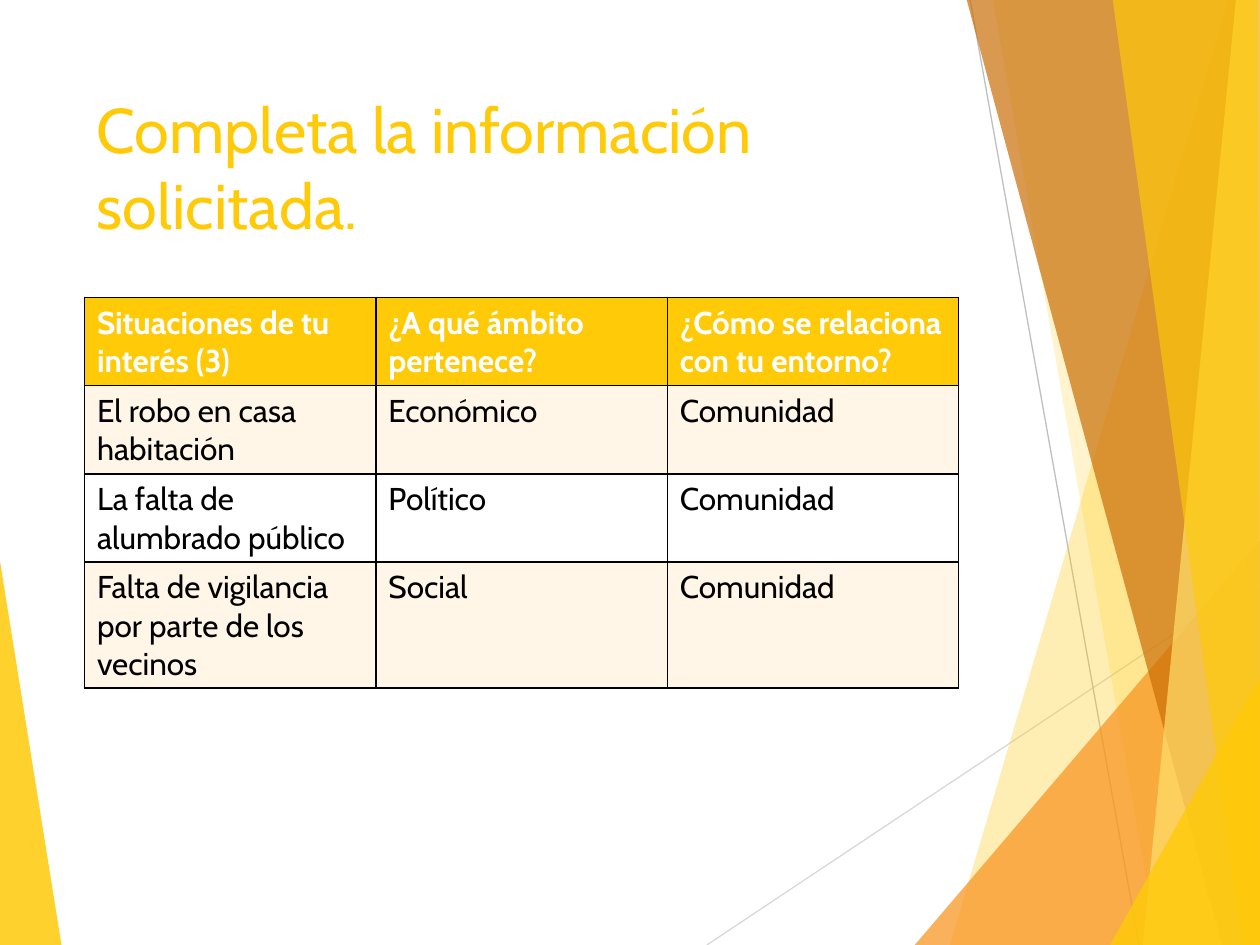
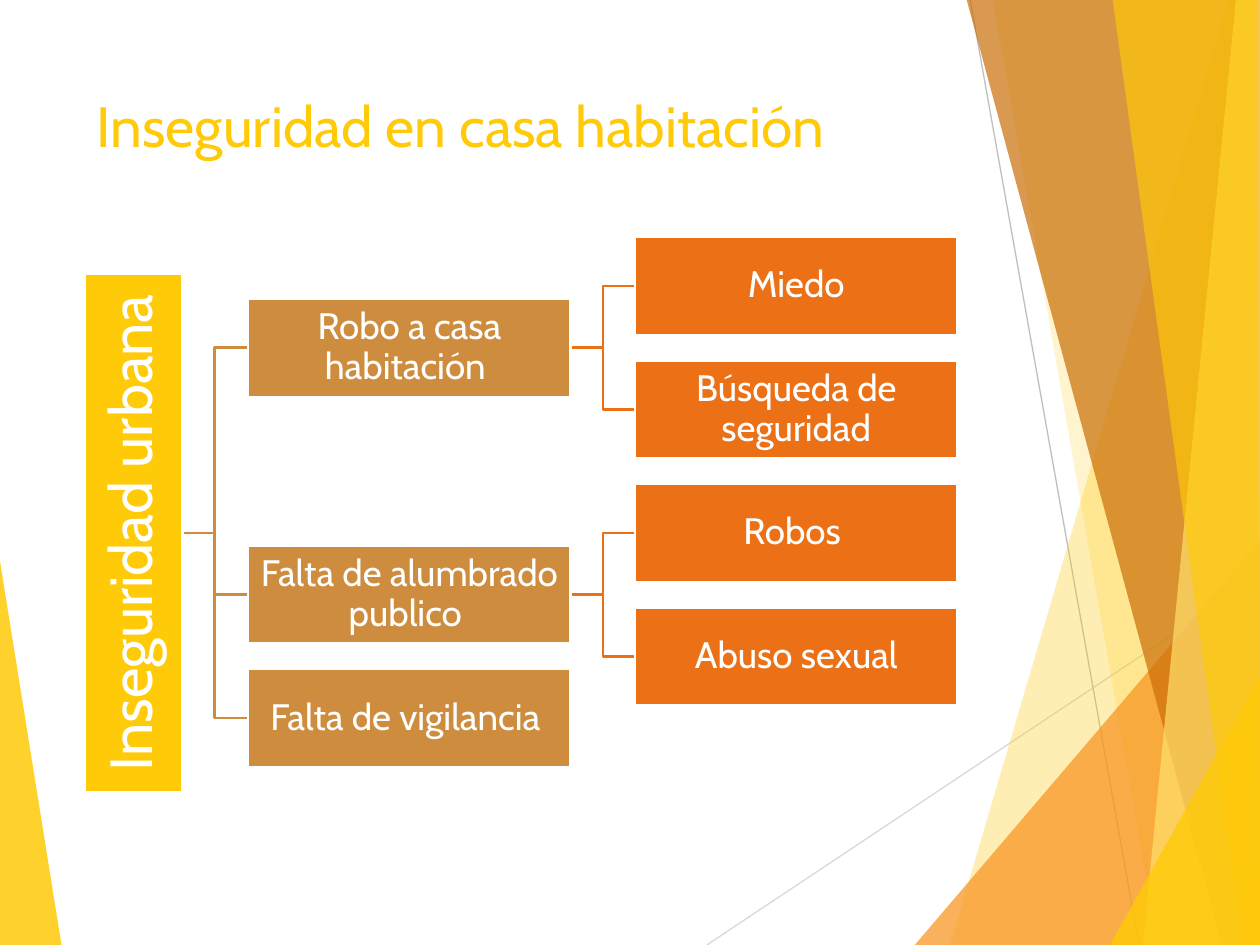
from dataclasses import dataclass

from lxml.etree import SubElement
from pptx import Presentation
from pptx.dml.color import RGBColor
from pptx.enum.shapes import MSO_CONNECTOR, MSO_SHAPE
from pptx.enum.text import MSO_ANCHOR, PP_ALIGN
from pptx.oxml.ns import qn
from pptx.util import Inches, Pt

FONT = "Cabin"
GOLD, BRONZE, ORANGE = "FFCA08", "CE8D3E", "EC7016"
WHITE, BLACK, CREAM = "FFFFFF", "000000", "FFF6E7"
LEFT, CONTENT_WIDTH = 0.67, 6.94

Point = tuple[float, float]


@dataclass(frozen=True)
class Facet:
    color: str
    opacity: int
    corners: list[Point]


@dataclass(frozen=True)
class Ray:
    color: str
    start: Point
    end: Point


@dataclass(frozen=True)
class Branch:
    label: str
    effects: list[str]


# Decoration shared by the slides, from back to front
LEFT_FACET = Facet(GOLD, 85, [(-0.01, 4.39), (0.49, 7.51), (-0.01, 7.5)])
RAYS = [
    Ray("D9D9D9", (5.61, 7.5), (10.01, 4.57)),
    Ray("BFBFBF", (7.7, 0), (9.04, 7.5)),
]
RIGHT_FACETS = [
    Facet(GOLD, 30, [(9.75, 0), (7.54, 7.5), (10.02, 7.51), (10.01, 0)]),
    Facet(GOLD, 20, [(7.88, -0.01), (9.19, 7.5), (10.01, 7.5), (10.01, -0.01)]),
    Facet("F8931D", 72, [(7.26, 7.5), (10, 4.29), (10.01, 7.5)]),
    Facet("CA6F06", 70, [(7.67, -0.01), (9.7, 7.5), (10.01, 7.5), (10.01, -0.01)]),
    Facet("FFDF6B", 70, [(9.81, -0.01), (9.07, 7.5), (10.01, 7.5), (10, -0.01)]),
    Facet(GOLD, 65, [(8.83, -0.01), (9.86, 7.5), (10, 7.5), (9.98, -0.01)]),
    Facet(GOLD, 80, [(8.81, 7.5), (10.01, 5.35), (10.01, 7.5)]),
]

# Slide contents
SITUATIONS = [
    ["Situaciones de tu interés (3)", "¿A qué ámbito pertenece?",
     "¿Cómo se relaciona con tu entorno?"],
    ["El robo en casa habitación", "Económico", "Comunidad"],
    ["La falta de alumbrado público", "Político", "Comunidad"],
    ["Falta de vigilancia por parte de los vecinos", "Social", "Comunidad"],
]
PROBLEM = "Inseguridad urbana"
BRANCHES = [
    Branch("Robo a casa habitación ", ["Miedo", "Búsqueda de seguridad"]),
    Branch("Falta de alumbrado publico ", ["Robos ", "Abuso sexual"]),
    Branch("Falta de vigilancia ", []),
]

# Tree measures
BOX_WIDTH, BOX_HEIGHT, ROW_PITCH = 2.56, 0.78, 0.98
PROBLEM_LENGTH = 4.11
PROBLEM_X, BRANCH_X, EFFECT_X = 1.06, 3.25, 6.32  # column centres
FIRST_ROW_Y = 2.27
LINK_WIDTH = 0.51


def rgb(color: str) -> RGBColor:
    return RGBColor.from_string(color)


def paint(fill, color: str) -> None:
    fill.solid()
    fill.fore_color.rgb = rgb(color)


def stroke(line, color: str, width: float) -> None:
    paint(line.fill, color)
    line.width = Pt(width)


def write(frame, text: str, size: float, color: str, bold: bool = False):
    frame.text = text
    frame.word_wrap = True
    paragraph = frame.paragraphs[0]
    for run in paragraph.runs:
        run.font.name = FONT
        run.font.size = Pt(size)
        run.font.bold = bold
        run.font.color.rgb = rgb(color)
    return paragraph


def add_outline(slide, points: list[Point], close: bool):
    start, *others = [(Inches(x), Inches(y)) for x, y in points]
    builder = slide.shapes.build_freeform(*start)
    builder.add_line_segments(others, close=close)
    outline = builder.convert_to_shape()
    outline.shadow.inherit = False
    return outline


def add_facet(slide, facet: Facet) -> None:
    pane = add_outline(slide, facet.corners, close=True)
    paint(pane.fill, facet.color)
    pane.line.fill.background()
    tint = pane.fill._xPr.find(f".//{qn('a:srgbClr')}")
    SubElement(tint, qn("a:alpha"), val=str(facet.opacity * 1000))


def add_ray(slide, ray: Ray) -> None:
    ends = [Inches(value) for value in ray.start + ray.end]
    line = slide.shapes.add_connector(MSO_CONNECTOR.STRAIGHT, *ends)
    stroke(line.line, ray.color, 0.75)
    SubElement(line._element.spPr, qn("a:effectLst"))


def add_base_slide(deck, title: str, size: float, height: float):
    slide = deck.slides.add_slide(deck.slide_layouts[6])
    add_facet(slide, LEFT_FACET)
    for ray in RAYS:
        add_ray(slide, ray)
    for facet in RIGHT_FACETS:
        add_facet(slide, facet)
    heading = slide.shapes.add_textbox(
        Inches(LEFT), Inches(0.67), Inches(CONTENT_WIDTH), Inches(height))
    write(heading.text_frame, title, size, GOLD)
    return slide


def add_cell_borders(cell) -> None:
    properties = cell._tc.get_or_add_tcPr()
    for side in ("lnL", "lnR", "lnT", "lnB"):
        border = SubElement(properties, qn(f"a:{side}"), w=str(Pt(1)))
        fill = SubElement(border, qn("a:solidFill"))
        SubElement(fill, qn("a:srgbClr"), val=BLACK)


def add_situations_table(slide) -> None:
    rows, columns = len(SITUATIONS), len(SITUATIONS[0])
    row_height = 0.63
    table = slide.shapes.add_table(
        rows, columns, Inches(LEFT), Inches(2.36),
        Inches(CONTENT_WIDTH), Inches(row_height * rows)).table
    for row, texts in enumerate(SITUATIONS):
        table.rows[row].height = Inches(row_height)
        header = row == 0
        background = GOLD if header else (CREAM if row % 2 else WHITE)
        for column, text in enumerate(texts):
            cell = table.cell(row, column)
            add_cell_borders(cell)
            paint(cell.fill, background)
            write(cell.text_frame, text, 18, WHITE if header else BLACK, header)


def add_box(slide, text: str, center: Point, color: str, width: float = BOX_WIDTH,
            size: float = 21, inset: float = 0.01, rotation: float = 0) -> None:
    x, y = center
    box = slide.shapes.add_shape(
        MSO_SHAPE.RECTANGLE, Inches(x - width / 2), Inches(y - BOX_HEIGHT / 2),
        Inches(width), Inches(BOX_HEIGHT))
    box.rotation = rotation
    box.shadow.inherit = False
    paint(box.fill, color)
    stroke(box.line, WHITE, 1.5)
    frame = box.text_frame
    frame.margin_left = frame.margin_right = Inches(inset)
    frame.margin_top = frame.margin_bottom = Inches(inset)
    frame.vertical_anchor = MSO_ANCHOR.MIDDLE
    paragraph = write(frame, text, size, WHITE)
    paragraph.alignment = PP_ALIGN.CENTER
    paragraph.line_spacing = 0.9


def add_link(slide, start: Point, end_y: float, color: str) -> None:
    x, y = start
    bend = x + LINK_WIDTH / 2
    link = add_outline(
        slide, [(x, y), (bend, y), (bend, end_y), (x + LINK_WIDTH, end_y)], close=False)
    link.fill.background()
    stroke(link.line, color, 1.5)


def add_problem_tree(slide) -> None:
    # Each branch is centred on its effects; one without effects takes the next row
    branch_rows: list[float] = []
    effect_rows: list[list[float]] = []
    next_y = FIRST_ROW_Y
    for branch in BRANCHES:
        rows = [next_y + ROW_PITCH * index for index in range(len(branch.effects))]
        center = sum(rows) / len(rows) if rows else branch_rows[-1] + ROW_PITCH
        next_y += ROW_PITCH * len(rows)
        branch_rows.append(center)
        effect_rows.append(rows)
    problem_y = (branch_rows[0] + branch_rows[-1]) / 2

    # Links lie behind the boxes
    for branch_y, rows in zip(branch_rows, effect_rows):
        add_link(slide, (PROBLEM_X + BOX_HEIGHT / 2, problem_y), branch_y, BRONZE)
        for effect_y in rows:
            add_link(slide, (BRANCH_X + BOX_WIDTH / 2, branch_y), effect_y, ORANGE)

    add_box(slide, PROBLEM, (PROBLEM_X, problem_y), GOLD,
            width=PROBLEM_LENGTH, size=34, inset=0.02, rotation=270)
    for branch, branch_y, rows in zip(BRANCHES, branch_rows, effect_rows):
        add_box(slide, branch.label, (BRANCH_X, branch_y), BRONZE)
        for effect, effect_y in zip(branch.effects, rows):
            add_box(slide, effect, (EFFECT_X, effect_y), ORANGE)


def main() -> None:
    deck = Presentation()
    deck.slide_width, deck.slide_height = Inches(10), Inches(7.5)
    add_situations_table(
        add_base_slide(deck, "Completa la información solicitada.", 36, 1.44))
    add_problem_tree(
        add_base_slide(deck, "Inseguridad en casa habitación", 32.4, 0.59))
    deck.save("out.pptx")


if __name__ == "__main__":
    main()
